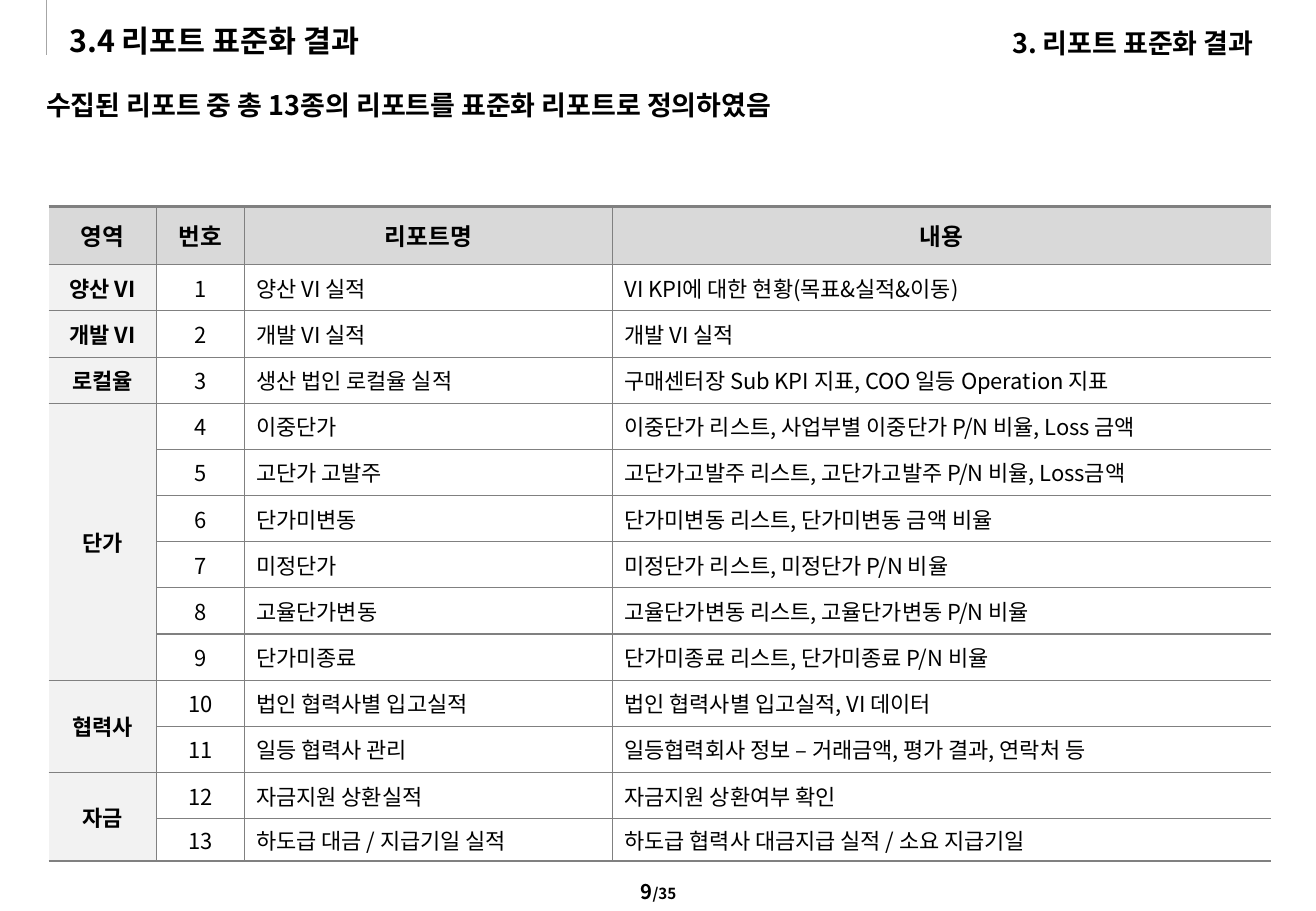
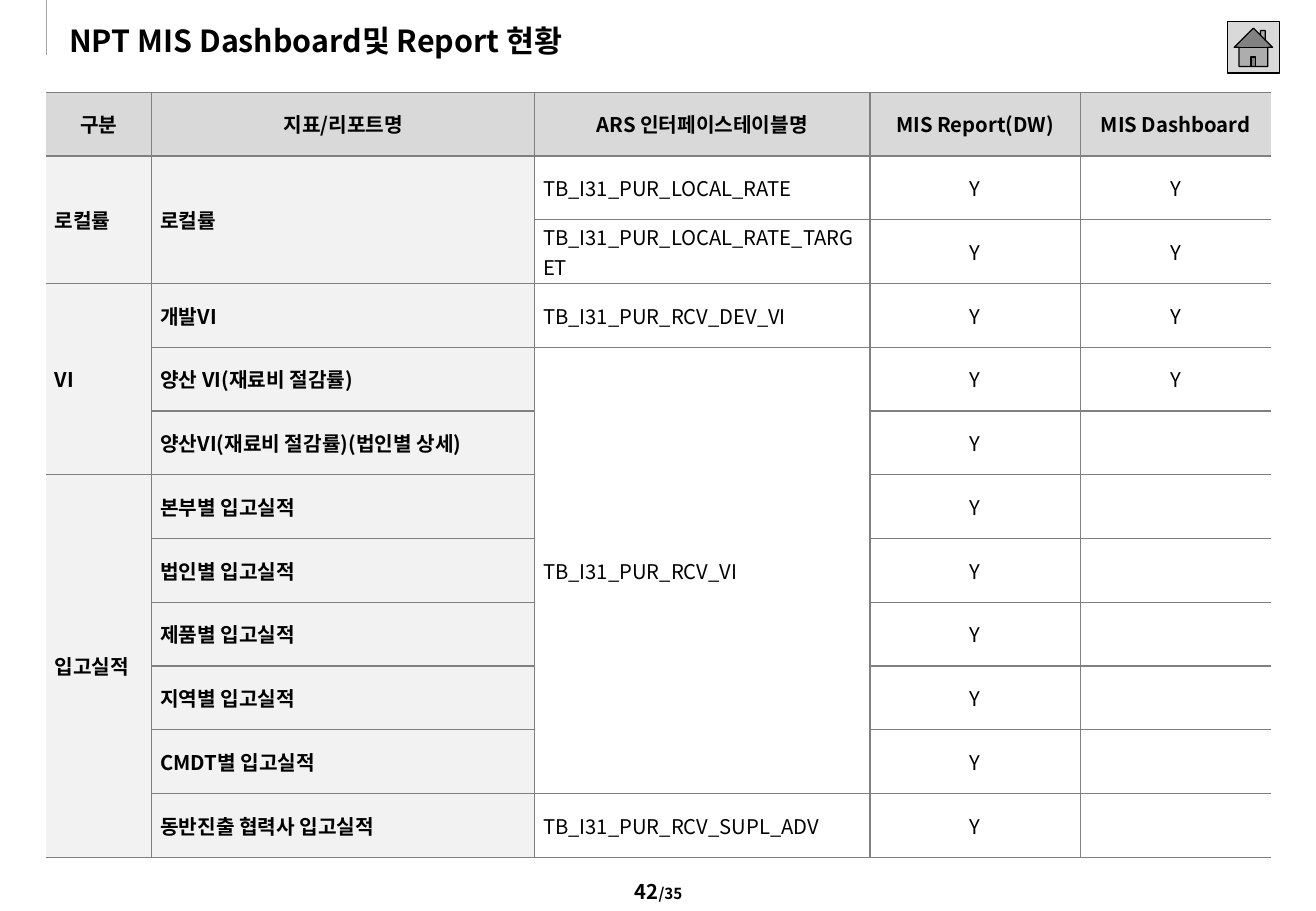
"""Builds two slides of report standardisation tables."""
from lxml import etree
from pptx import Presentation
from pptx.dml.color import RGBColor
from pptx.enum.shapes import MSO_CONNECTOR, MSO_SHAPE
from pptx.enum.text import MSO_ANCHOR, PP_ALIGN
from pptx.oxml.ns import qn
from pptx.util import Inches, Pt

MIDDLE, TOP = MSO_ANCHOR.MIDDLE, MSO_ANCHOR.TOP
LEFT, CENTER = PP_ALIGN.LEFT, PP_ALIGN.CENTER
STRAIGHT = MSO_CONNECTOR.STRAIGHT
HOME = MSO_SHAPE.ACTION_BUTTON_HOME
FONT = "Noto Sans CJK KR"
COLORS = {"text": "000000", "header": "D9D9D9", "label": "F2F2F2",
          "body": "FFFFFF", "border": "808080", "rule": "A6A6A6"}
WIDTH, HEIGHT = 10.83, 7.5
MARGIN = 0.38
PAGE_COUNT = 35

REPORTS = {
    "at": (0.4, 1.7),
    "cols": [0.89, 0.72, 3.03, 5.42],
    "heights": [0.48] + [0.38] * 12 + [0.35],
    "align": [CENTER, CENTER, LEFT, LEFT],
    "labels": 1, "sizes": (14, 13), "insets": (0.1, 0.05), "edge": 1.5,
    "rows": [
        ("영역", "번호", "리포트명", "내용"),
        ("양산 VI", "1", "양산 VI 실적", "VI KPI에 대한 현황(목표&실적&이동)"),
        ("개발 VI", "2", "개발 VI 실적", "개발 VI 실적"),
        ("로컬율", "3", "생산 법인 로컬율 실적",
         "구매센터장 Sub KPI 지표, COO 일등 Operation 지표"),
        ("단가", "4", "이중단가",
         "이중단가 리스트, 사업부별 이중단가 P/N 비율, Loss 금액"),
        (None, "5", "고단가 고발주",
         "고단가고발주 리스트, 고단가고발주 P/N 비율, Loss금액"),
        (None, "6", "단가미변동", "단가미변동 리스트, 단가미변동 금액 비율"),
        (None, "7", "미정단가", "미정단가 리스트, 미정단가 P/N 비율"),
        (None, "8", "고율단가변동", "고율단가변동 리스트, 고율단가변동 P/N 비율"),
        (None, "9", "단가미종료", "단가미종료 리스트, 단가미종료 P/N 비율"),
        ("협력사", "10", "법인 협력사별 입고실적",
         "법인 협력사별 입고실적, VI 데이터"),
        (None, "11", "일등 협력사 관리",
         "일등협력회사 정보 – 거래금액, 평가 결과, 연락처 등"),
        ("자금", "12", "자금지원 상환실적", "자금지원 상환여부 확인"),
        (None, "13", "하도급 대금 / 지급기일 실적",
         "하도급 협력사 대금지급 실적 / 소요 지급기일"),
    ],
}

INTERFACES = {
    "at": (MARGIN, 0.76),
    "cols": [0.87, 3.15, 2.76, 1.73, 1.57],
    "heights": [0.525] * 12,
    "align": [LEFT, LEFT, LEFT, CENTER, CENTER],
    "labels": 2, "sizes": (12, 12), "insets": (0.07, 0), "edge": 0.75,
    "rows": [
        ("구분", "지표/리포트명", "ARS 인터페이스테이블명",
         "MIS Report(DW)", "MIS Dashboard"),
        ("로컬률", "로컬률", "TB_I31_PUR_LOCAL_RATE", "Y", "Y"),
        (None, None, "TB_I31_PUR_LOCAL_RATE_TARGET", "Y", "Y"),
        ("VI", "개발VI", "TB_I31_PUR_RCV_DEV_VI", "Y", "Y"),
        (None, "양산 VI(재료비 절감률)", "TB_I31_PUR_RCV_VI", "Y", "Y"),
        (None, "양산VI(재료비 절감률)(법인별 상세)", None, "Y", ""),
        ("입고실적", "본부별 입고실적", None, "Y", ""),
        (None, "법인별 입고실적", None, "Y", ""),
        (None, "제품별 입고실적", None, "Y", ""),
        (None, "지역별 입고실적", None, "Y", ""),
        (None, "CMDT별 입고실적", None, "Y", ""),
        (None, "동반진출 협력사 입고실적", "TB_I31_PUR_RCV_SUPL_ADV", "Y", ""),
    ],
}


def rgb(name):
    return RGBColor.from_string(COLORS[name])


def set_font(font, size, bold=True):
    font.name, font.size, font.bold = FONT, Pt(size), bold
    font.color.rgb = rgb("text")
    latin = font._element.find(qn("a:latin"))
    east_asian = etree.Element(qn("a:ea"), typeface=FONT)
    latin.addnext(east_asian)


def add_text(s, box, text, size, anchor=MIDDLE):
    tf = s.shapes.add_textbox(*map(Inches, box)).text_frame
    tf.word_wrap, tf.vertical_anchor = True, anchor
    tf.margin_left = tf.margin_right = tf.margin_top = tf.margin_bottom = 0
    p = tf.paragraphs[0]
    p.text = text
    set_font(p.font, size)
    return p


def add_page_number(s, number):
    p = add_text(s, (4.29, 7.24, 2.26, 0.28), "", 12, TOP)
    p.alignment = CENTER
    for text, size in ((str(number), 12), (f"/{PAGE_COUNT}", 9)):
        r = p.add_run()
        r.text = text
        set_font(r.font, size)


def add_base(prs, title, number):
    s = prs.slides.add_slide(prs.slide_layouts[6])
    rule = s.shapes.add_connector(STRAIGHT, Inches(MARGIN), 0,
                                  Inches(MARGIN), Inches(0.45))
    rule.line.color.rgb, rule.line.width = rgb("rule"), Pt(0.5)
    etree.SubElement(rule._element.spPr, qn("a:effectLst"))
    add_text(s, (0.57, 0.18, 7.45, 0.3), title, 18)
    add_page_number(s, number)
    return s


def set_borders(cell, widths):
    tc_pr = cell._tc.get_or_add_tcPr()
    for i, (side, width) in enumerate(zip("LRTB", widths)):
        ln = etree.Element(qn(f"a:ln{side}"), w=str(Pt(width)))
        if width:
            fill = etree.SubElement(ln, qn("a:solidFill"))
            etree.SubElement(fill, qn("a:srgbClr"), val=COLORS["border"])
        else:
            etree.SubElement(ln, qn("a:noFill"))
        tc_pr.insert(i, ln)


def span_of(rows, row, col):
    end = row + 1
    while end < len(rows) and rows[end][col] is None:
        end += 1
    return end - row


def fill_cell(cell, text, spec, row, col):
    header, label = row == 0, col < spec["labels"]
    cell.fill.solid()
    cell.fill.fore_color.rgb = rgb(
        "header" if header else "label" if label else "body")
    cell.vertical_anchor = MIDDLE
    side, top = map(Inches, spec["insets"])
    cell.margin_left = cell.margin_right = side
    cell.margin_top = cell.margin_bottom = top
    p = cell.text_frame.paragraphs[0]
    p.text = text or ""
    p.alignment = CENTER if header else spec["align"][col]
    set_font(p.font, spec["sizes"][0 if header else 1], header or label)


def add_grid(s, spec):
    rows, cols, heights = spec["rows"], spec["cols"], spec["heights"]
    box = (*spec["at"], sum(cols), sum(heights))
    table = s.shapes.add_table(len(rows), len(cols),
                               *map(Inches, box)).table
    table.first_row = table.horz_banding = False
    for column, width in zip(table.columns, cols):
        column.width = Inches(width)
    last_row, last_col, edge = len(rows) - 1, len(cols) - 1, spec["edge"]
    for i, values in enumerate(rows):
        table.rows[i].height = Inches(heights[i])
        for j, text in enumerate(values):
            cell = table.cell(i, j)
            fill_cell(cell, text, spec, i, j)
            span = 1 if text is None else span_of(rows, i, j)
            bottom = i + span - 1
            set_borders(cell, (0.75 if j else 0,
                               0.75 if j < last_col else 0,
                               0.75 if i else edge,
                               0.75 if bottom < last_row else edge))
            if span > 1:
                cell.merge(table.cell(bottom, j))


def add_home_button(s):
    button = s.shapes.add_shape(HOME, *map(Inches, (10.1, 0.18, 0.43, 0.42)))
    button.shadow.inherit = False
    button.fill.solid()
    button.fill.fore_color.rgb = rgb("header")
    button.line.color.rgb, button.line.width = rgb("text"), Pt(0.75)


def main():
    prs = Presentation()
    prs.slide_width, prs.slide_height = Inches(WIDTH), Inches(HEIGHT)

    s = add_base(prs, "3.4 리포트 표준화 결과", 9)
    p = add_text(s, (MARGIN, 0.76, 10.08, 0.76),
                 "수집된 리포트 중 총 13종의 리포트를 표준화 리포트로 정의하였음", 16, TOP)
    p.line_spacing = 0.9
    add_grid(s, REPORTS)
    add_text(s, (8.33, 0.22, 2.38, 0.27), "3. 리포트 표준화 결과", 16)

    s = add_base(prs, "NPT MIS Dashboard및 Report 현황", 42)
    add_grid(s, INTERFACES)
    add_home_button(s)

    prs.save("out.pptx")


if __name__ == "__main__":
    main()
